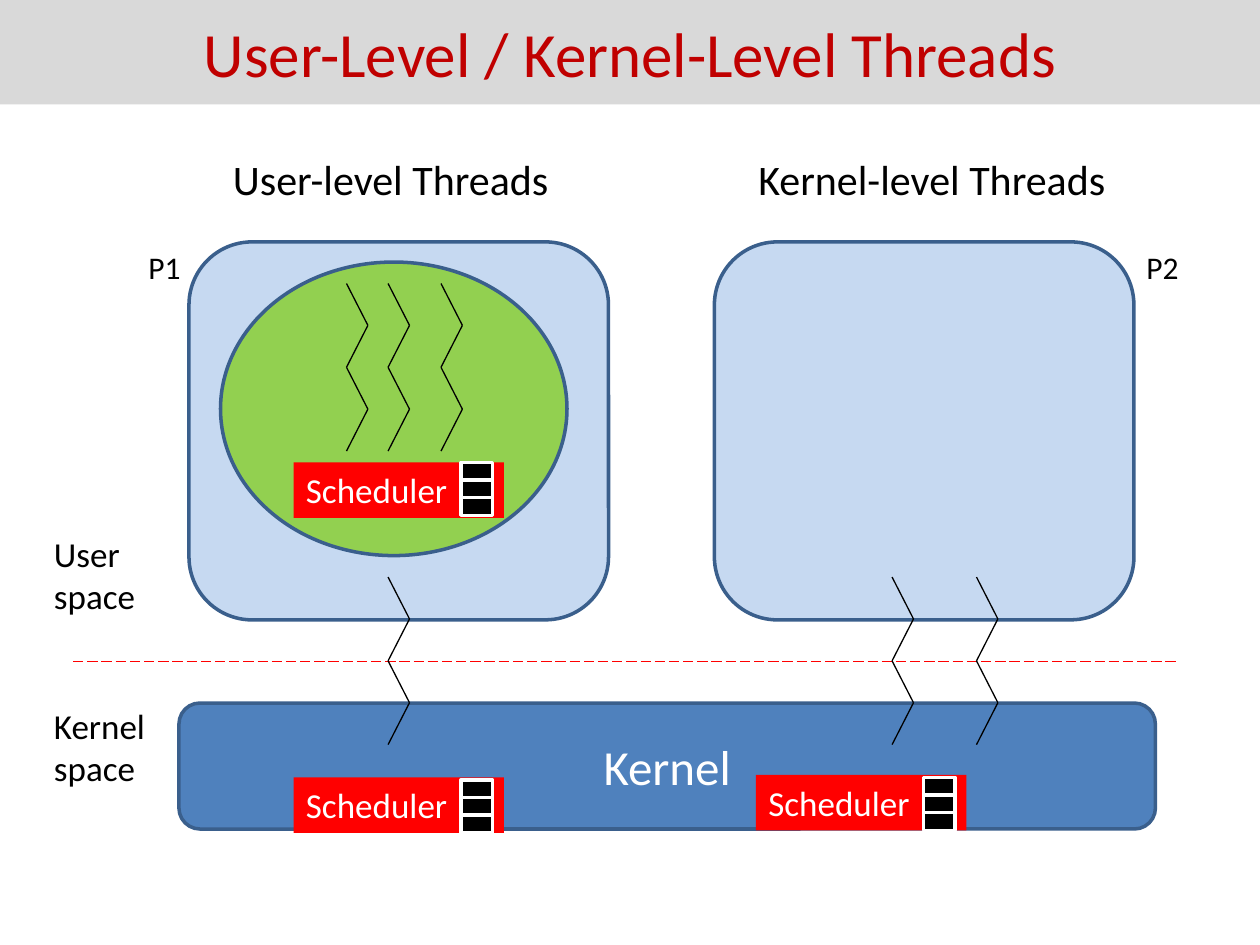
from lxml import etree
from pptx import Presentation
from pptx.dml.color import RGBColor
from pptx.enum.dml import MSO_LINE
from pptx.enum.shapes import MSO_CONNECTOR, MSO_SHAPE
from pptx.enum.text import MSO_ANCHOR, PP_ALIGN
from pptx.oxml.ns import qn
from pptx.util import Inches, Pt

RECT, ROUND, OVAL = MSO_SHAPE.RECTANGLE, MSO_SHAPE.ROUNDED_RECTANGLE, MSO_SHAPE.OVAL
STRAIGHT = MSO_CONNECTOR.STRAIGHT
LONG_DASH = MSO_LINE.LONG_DASH
LEFT, CENTER = PP_ALIGN.LEFT, PP_ALIGN.CENTER
TOP, MIDDLE = MSO_ANCHOR.TOP, MSO_ANCHOR.MIDDLE
FONT = "Calibri"
EDGE = "3A5F8C"


def rgb(value):
    """Turn a hex string into a colour."""
    return RGBColor.from_string(value)


def write(sp, text, size, color, align=LEFT, anchor=TOP):
    """Write one run of text into a shape."""
    tf = sp.text_frame
    tf.word_wrap = True
    tf.vertical_anchor = anchor
    p = tf.paragraphs[0]
    p.alignment = align
    r = p.add_run()
    r.text = text
    r.font.name = FONT
    r.font.size = Pt(size)
    r.font.color.rgb = rgb(color)


def add_box(shapes, kind, box, fill, line=None):
    """Add a filled preset shape, outlined if a line colour is given."""
    sp = shapes.add_shape(kind, *map(Inches, box))
    sp.shadow.inherit = False
    sp.fill.solid()
    sp.fill.fore_color.rgb = rgb(fill)
    if line:
        sp.line.color.rgb = rgb(line)
        sp.line.width = Pt(2)
    else:
        sp.line.fill.background()
    return sp


def add_label(shapes, box, text, size):
    """Add a black text label."""
    write(shapes.add_textbox(*map(Inches, box)), text, size, "000000")


def add_line(shapes, start, end, color):
    """Add a thin straight line without a shadow."""
    cxn = shapes.add_connector(STRAIGHT, *map(Inches, (*start, *end)))
    cxn.line.color.rgb = rgb(color)
    cxn.line.width = Pt(0.75)
    etree.SubElement(cxn._element.spPr, qn("a:effectLst"))
    return cxn


def add_thread(shapes, left, top, width=0.17, height=1.33, segments=4):
    """Add a grouped zigzag that stands for one thread."""
    group = shapes.add_group_shape()
    points = [(left + width * (i % 2), top + height * i / segments)
              for i in range(segments + 1)]
    for start, end in zip(points, points[1:]):
        add_line(group.shapes, start, end, "000000")


def add_scheduler(shapes, left, top, queue_gap=0.02):
    """Add a scheduler bar with its three-cell queue."""
    sp = add_box(shapes, RECT, (left, top, 1.67, 0.44), "FF0000")
    write(sp, "Scheduler", 20, "FFFFFF")
    group = shapes.add_group_shape()
    for i in range(3):
        cell = (left + 1.33, top + queue_gap + 0.14 * i, 0.25, 0.14)
        add_box(group.shapes, RECT, cell, "000000", "FFFFFF")


def add_process(shapes, left, top):
    """Add the box of one process."""
    add_box(shapes, ROUND, (left, top, 3.33, 3), "C6D9F1", EDGE)


def add_user_runtime(shapes, left, top):
    """Add the user-level runtime with its threads and scheduler."""
    add_box(shapes, OVAL, (left, top, 2.75, 2.33), "92D050", EDGE)
    for dx in (1, 1.33, 1.75):
        add_thread(shapes, left + dx, top + 0.17)
    add_scheduler(shapes, left + 0.58, top + 1.59, queue_gap=0)


def add_kernel(shapes, left, top):
    """Add the kernel, the threads that enter it and its schedulers."""
    sp = add_box(shapes, ROUND, (left, top, 7.75, 1), "4F81BD", EDGE)
    write(sp, "Kernel", 28, "FFFFFF", CENTER, MIDDLE)
    for dx in (1.66, 5.66, 6.33):
        add_thread(shapes, left + dx, top - 1)
    add_scheduler(shapes, left + 0.91, top + 0.59)
    add_scheduler(shapes, left + 4.58, top + 0.57)


def add_title(shapes, box):
    """Add the title band."""
    sp = add_box(shapes, RECT, box, "D9D9D9")
    write(sp, "User-Level / Kernel-Level Threads", 36, "C00000", CENTER, MIDDLE)


def main():
    """Build the slide and save it."""
    prs = Presentation()
    prs.slide_width, prs.slide_height = Inches(10), Inches(7.5)
    s = prs.slides.add_slide(prs.slide_layouts[6])
    shapes = s.shapes
    for left in (1.5, 5.67):
        add_process(shapes, left, 1.92)
    labels = [
        ((1.75, 1.17, 2.92, 0.51), "User-level Threads", 24),
        ((5.92, 1.17, 3.08, 0.51), "Kernel-level Threads", 24),
        ((1.08, 1.92, 0.5, 0.4), "P1", 18),
        ((9, 1.92, 0.5, 0.4), "P2", 18),
        ((0.33, 4.18, 0.92, 0.77), "User space", 20),
        ((0.33, 5.54, 1, 0.77), "Kernel space", 20),
    ]
    for box, text, size in labels:
        add_label(shapes, box, text, size)
    border = add_line(shapes, (0.58, 5.25), (9.33, 5.25), "FF0000")
    border.line.dash_style = LONG_DASH
    add_kernel(shapes, 1.42, 5.58)
    add_user_runtime(shapes, 1.75, 2.08)
    add_title(shapes, (0, 0, 10, 0.83))
    prs.save("out.pptx")


if __name__ == "__main__":
    main()
